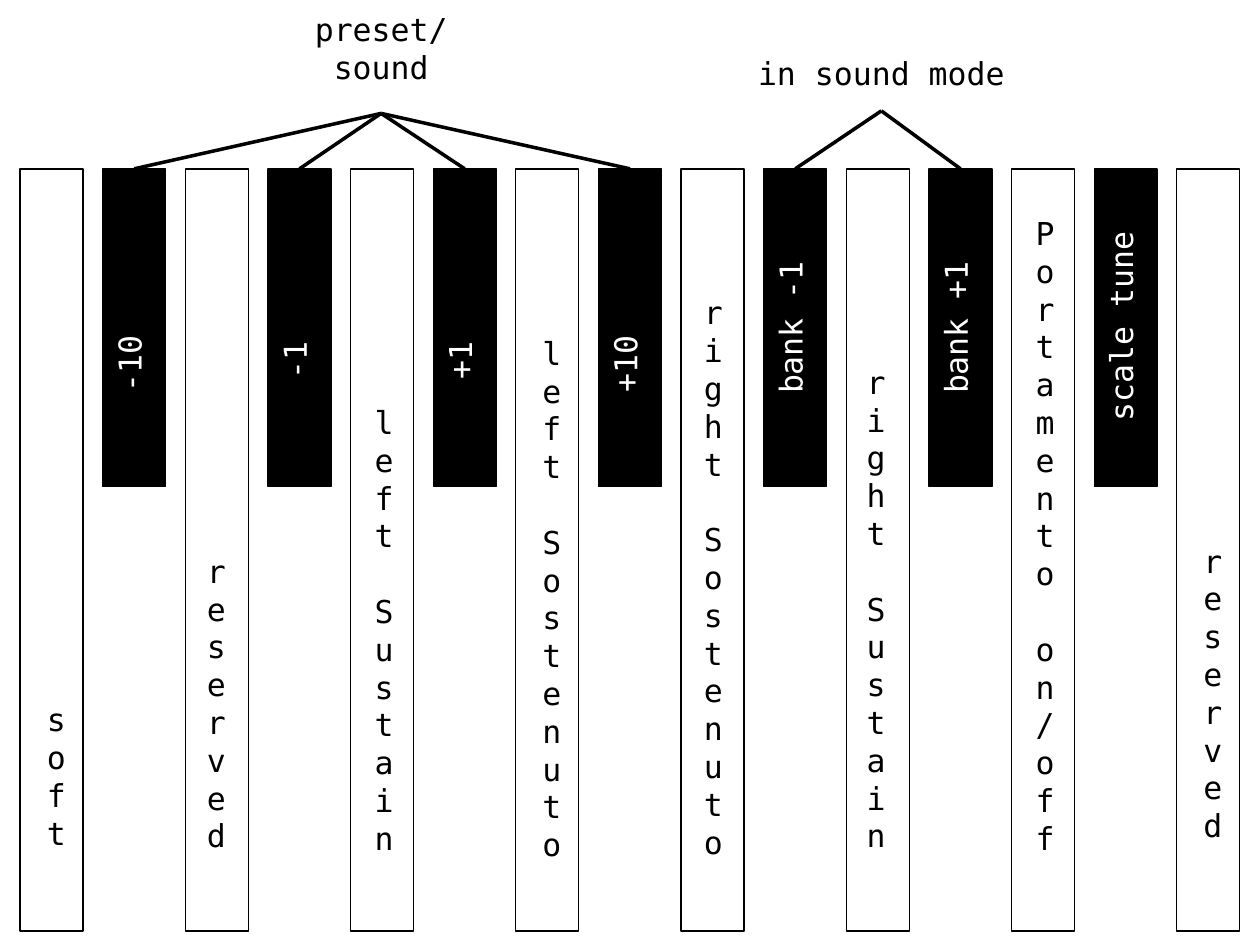
from pptx import Presentation
from pptx.dml.color import RGBColor
from pptx.enum.shapes import MSO_CONNECTOR, MSO_SHAPE
from pptx.enum.text import MSO_AUTO_SIZE, PP_ALIGN
from pptx.util import Inches, Pt
from lxml.etree import SubElement
from pptx.oxml.ns import qn

BLACK = RGBColor(0, 0, 0)
WHITE = RGBColor(255, 255, 255)
FONT = "DejaVu Sans Mono"

deck = Presentation()
deck.slide_width, deck.slide_height = Inches(10), Inches(7.5)
slide = deck.slides.add_slide(deck.slide_layouts[6])

LEFT, TOP, WIDE = 0.16, 1.34, 0.5
STEP = (9.34 - LEFT) / 14
LONG, SHORT = 6.05, 2.52


def label(text, x, y, w, h, color, align=PP_ALIGN.LEFT):
    box = slide.shapes.add_textbox(Inches(x), Inches(y), Inches(w), Inches(h))
    frame = box.text_frame
    frame.word_wrap = True
    frame.auto_size = MSO_AUTO_SIZE.SHAPE_TO_FIT_TEXT
    para = frame.paragraphs[0]
    para.text = text
    para.alignment = align
    for run in para.runs:
        run.font.name = FONT
        run.font.size = Pt(18)
        run.font.color.rgb = color
    return box


for i in range(15):
    dark = i % 2
    key = slide.shapes.add_shape(
        MSO_SHAPE.RECTANGLE, Inches(LEFT + i * STEP), Inches(TOP),
        Inches(WIDE), Inches(SHORT if dark else LONG))
    key.shadow.inherit = False
    key.fill.solid()
    key.fill.fore_color.rgb = BLACK if dark else WHITE
    key.line.color.rgb = BLACK
    key.line.width = Pt(0)

pedals = [
    ("soft", 0.21, 5.51, 1.87),
    ("reserved", 0.17, 4.33, 3.06),
    ("left Sustain", 0.19, 3.15, 4.23),
    ("left Sostenuto", 0.21, 2.6, 4.77),
    ("right Sostenuto", 0.18, 2.28, 5.11),
    ("right Sustain", 0.16, 2.83, 4.57),
    ("Portamento\von/off", 0.19, 1.65, 5.76),
    ("reserved", 0.21, 4.25, 3.14),
]
for i, (text, shift, y, high) in enumerate(pedals):
    label(text, LEFT + 2 * i * STEP + shift, y, 0.1, high, BLACK)

switches = [
    ("-10", 2.75, 0.92, 1.24, PP_ALIGN.LEFT),
    ("-1", 2.65, 0.92, 0.5, PP_ALIGN.LEFT),
    ("+1", 2.65, 0.92, 0.5, PP_ALIGN.LEFT),
    ("+10", 2.75, 0.92, 0.5, PP_ALIGN.LEFT),
    ("bank -1", 2.6, SHORT, 0.5, PP_ALIGN.CENTER),
    ("bank +1", 2.6, SHORT, 0.5, PP_ALIGN.CENTER),
    ("scale tune", 2.59, SHORT, 0.54, PP_ALIGN.CENTER),
]
for i, (text, mid, w, h, align) in enumerate(switches):
    x = LEFT + (2 * i + 1) * STEP + 0.01 + h / 2
    box = label(text, x - w / 2, mid - h / 2, w, h, WHITE, align)
    box.rotation = 270

groups = [
    ("preset/sound", 2.28, 0.03, 1.49, 0.87, (1, 3, 5, 7)),
    ("in sound mode", 5.56, 0.38, 2.87, 0.5, (9, 11)),
]
for text, x, y, w, h, keys in groups:
    label(text, x, y, w, h, BLACK, PP_ALIGN.CENTER)
    for i in keys:
        line = slide.shapes.add_connector(
            MSO_CONNECTOR.STRAIGHT, Inches(x + w / 2), Inches(y + h),
            Inches(LEFT + i * STEP + WIDE / 2), Inches(TOP))
        line.line.color.rgb = BLACK
        line.line.width = Pt(0)
        SubElement(line._element.spPr, qn("a:effectLst"))

deck.save("out.pptx")
